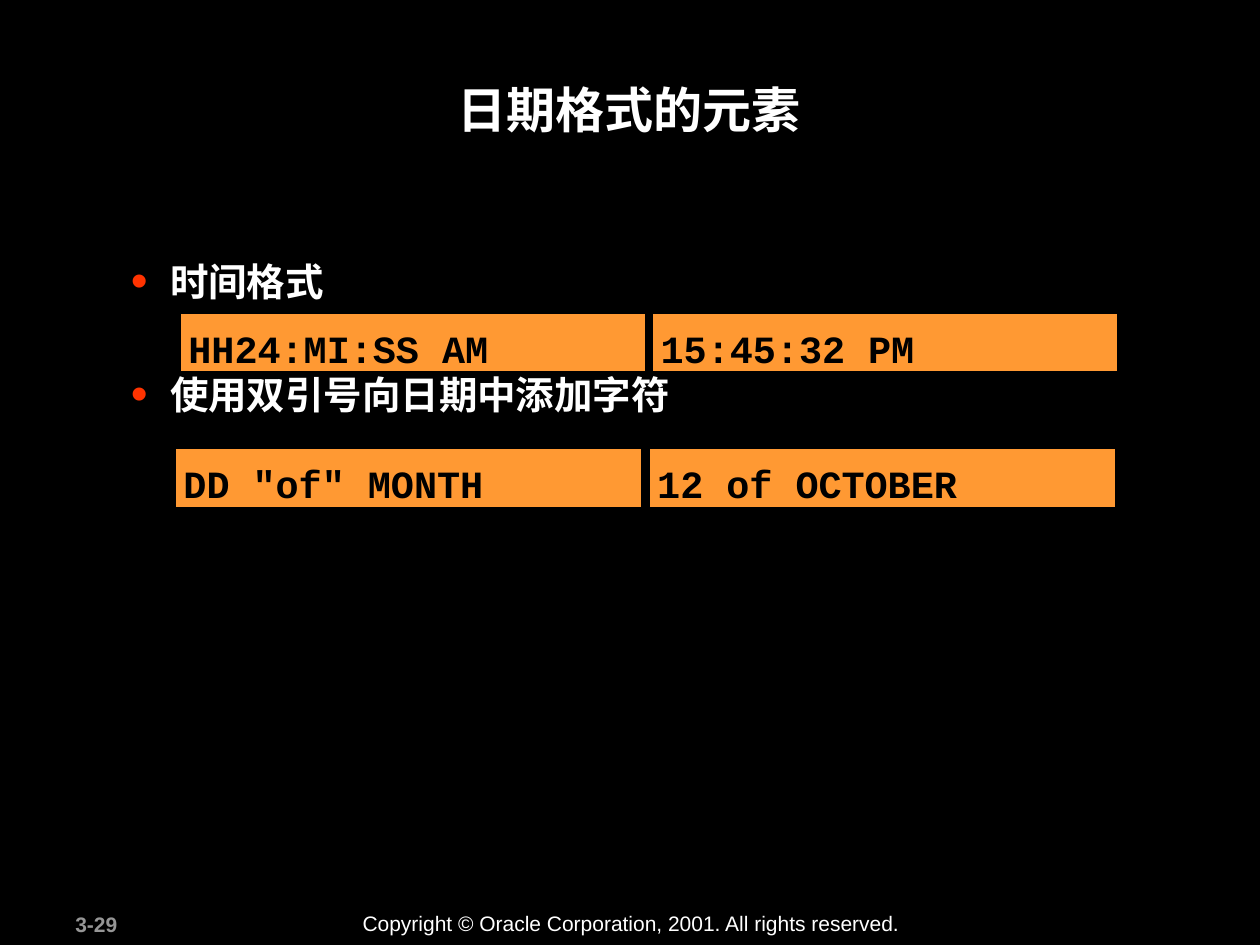
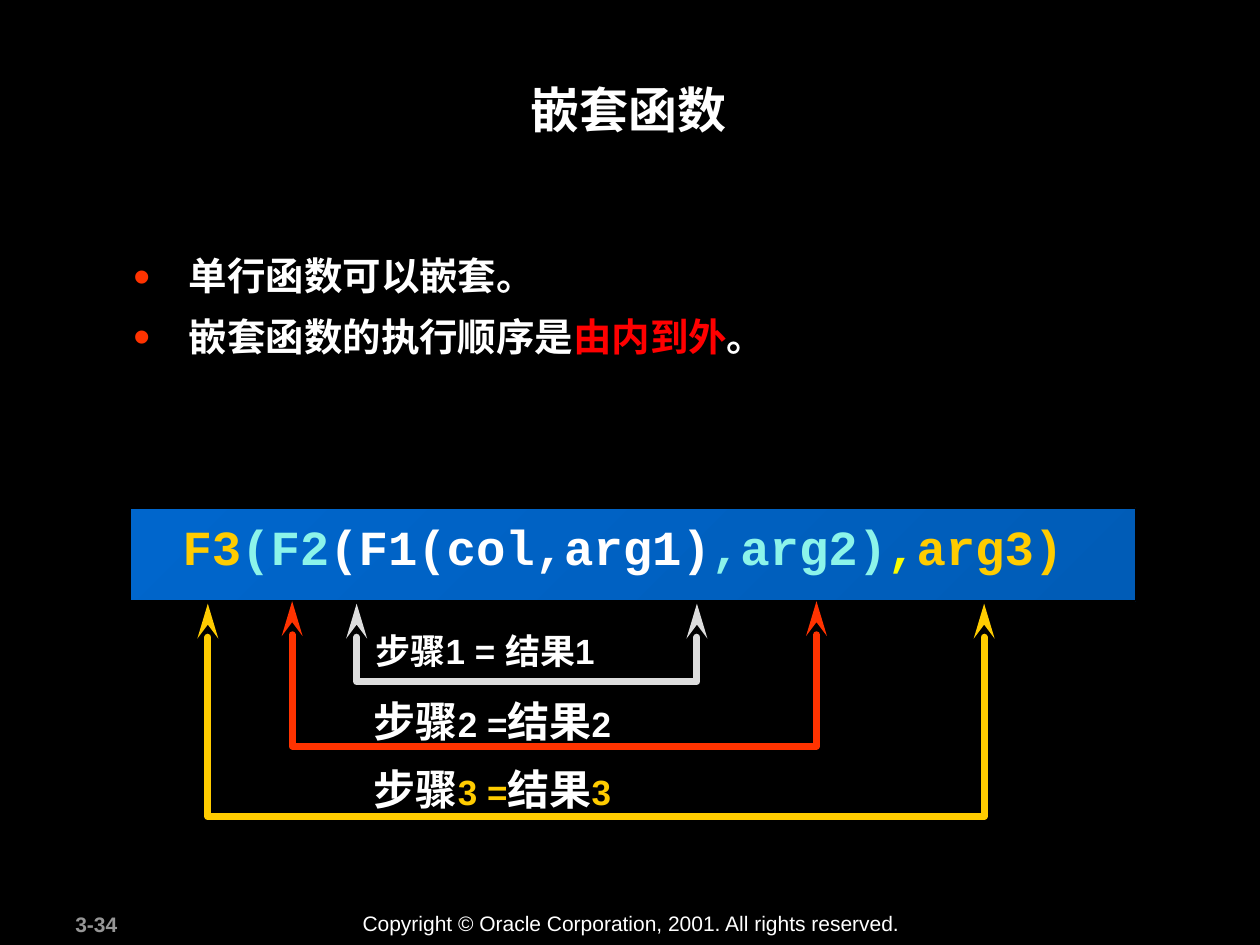
from lxml import etree
from pptx import Presentation
from pptx.dml.color import RGBColor
from pptx.enum import shapes, text
from pptx.oxml import ns
from pptx.util import Cm, Pt

BLACK = RGBColor(0, 0, 0)
WHITE = RGBColor(0xFF, 0xFF, 0xFF)
GREY = RGBColor(0x96, 0x96, 0x96)
SILVER = RGBColor(0xDD, 0xDD, 0xDD)
ORANGE = RGBColor(0xFF, 0x99, 0x33)
SCARLET = RGBColor(0xFF, 0x33, 0x00)
RED = RGBColor(0xFF, 0, 0)
GOLD = RGBColor(0xFF, 0xCC, 0)
YELLOW = RGBColor(0xFA, 0xFD, 0)
AQUA = RGBColor(0x8C, 0xF4, 0xEA)
BLUE = RGBColor(0, 0x66, 0xCC)
NAVY = RGBColor(0, 0x5C, 0xB7)

SANS, MONO, SERIF = "Arial", "Courier New", "Times New Roman"
RIGHTS = "Copyright © Oracle Corporation, 2001. All rights reserved."


def add_run(para, words, size, color=WHITE, face=SANS, bold=True):
    run = para.add_run()
    run.text = words
    font = run.font
    font.size, font.name, font.bold = Pt(size), face, bold
    font.color.rgb = color


def add_frame(slide, left, top, width, height, wrap=True):
    box = slide.shapes.add_textbox(Cm(left), Cm(top), Cm(width), Cm(height))
    box.text_frame.word_wrap = wrap
    return box.text_frame


def add_label(slide, area, *runs, wrap=True):
    """Add a one-line text box; each run is (words, size, ...)."""
    para = add_frame(slide, *area, wrap=wrap).paragraphs[0]
    for run in runs:
        add_run(para, *run)
    return para


def add_bullet(para, indent):
    props = para._p.get_or_add_pPr()
    props.set("marL", str(Cm(indent)))
    props.set("indent", str(-Cm(indent)))
    color = etree.SubElement(props, ns.qn("a:buClr"))
    etree.SubElement(color, ns.qn("a:srgbClr"), val=str(SCARLET))
    etree.SubElement(props, ns.qn("a:buSzPct"), val="125000")
    etree.SubElement(props, ns.qn("a:buFont"), typeface=SANS)
    etree.SubElement(props, ns.qn("a:buChar"), char="•")


def add_list(slide, area, items, indent, pitch, gap):
    """Add bulleted items; each item is a list of (words, color)."""
    frame = add_frame(slide, *area)
    for i, item in enumerate(items):
        para = frame.add_paragraph() if i else frame.paragraphs[0]
        add_bullet(para, indent)
        para.line_spacing = pitch
        if i:
            para.space_before = Pt(gap)
        for words, color in item:
            add_run(para, words, 22, color)


def add_rect(slide, left, top, width, height, line):
    rect = slide.shapes.add_shape(
        shapes.MSO_SHAPE.RECTANGLE, Cm(left), Cm(top), Cm(width), Cm(height))
    rect.shadow.inherit = False
    rect.line.color.rgb = BLACK
    rect.line.width = Pt(line)
    return rect


def add_pair(slide, left, top, width, height, samples):
    """Add a format and its result as two orange cells side by side."""
    lefts = [left, left + width + 0.1]
    for x in lefts:
        fill = add_rect(slide, x, top, width, height, 2).fill
        fill.solid()
        fill.fore_color.rgb = ORANGE
    for x, sample in zip(lefts, samples):
        add_label(slide, (x - 0.06, top + 0.13, width, 1.19),
                  (sample, 22, BLACK, MONO))


def add_hook(slide, left, right, top, bottom, color):
    """Add a U-shaped line with an arrowhead at both upper ends."""
    pen = slide.shapes.build_freeform(Cm(left), Cm(top))
    pen.add_line_segments([(Cm(left), Cm(bottom)), (Cm(right), Cm(bottom)),
                           (Cm(right), Cm(top))], close=False)
    hook = pen.convert_to_shape()
    hook.shadow.inherit = False
    hook.fill.background()
    hook.line.color.rgb = color
    hook.line.width = Pt(4)
    line = hook.line._get_or_add_ln()
    line.set("cap", "rnd")
    etree.SubElement(line, ns.qn("a:round"))
    for end in ("a:headEnd", "a:tailEnd"):
        etree.SubElement(line, ns.qn(end), type="stealth", w="med", len="lg")


def add_slide(deck, title, number):
    slide = deck.slides.add_slide(deck.slide_layouts[6])
    fill = slide.background.fill
    fill.solid()
    fill.fore_color.rgb = BLACK
    add_label(slide, (1.27, 18.26, 2.67, 0.76), (number, 12, GREY))
    add_label(slide, (7.06, 18.24, 11.38, 0.76),
              (RIGHTS, 12, WHITE, SANS, False))
    head = add_label(slide, (2.39, 1.47, 20.57, 2.44), (title, 28))
    head.alignment = text.PP_ALIGN.CENTER
    return slide


def add_dates(deck):
    slide = add_slide(deck, "日期格式的元素", "3-29")
    add_list(slide, (2.39, 5.03, 20.52, 5.49),
             [[("时间格式", WHITE)], [("使用双引号向日期中添加字符", WHITE)]],
             indent=0.79, pitch=1.05, gap=37)
    add_pair(slide, 3.61, 6.3, 9.42, 1.22, ["HH24:MI:SS AM", "15:45:32 PM"])
    add_pair(slide, 3.51, 9.02, 9.45, 1.24, ['DD "of" MONTH', "12 of OCTOBER"])


def add_nest(deck):
    slide = add_slide(deck, "嵌套函数", "3-34")
    add_hook(slide, 4.19, 19.84, 12.17, 16.46, GOLD)
    add_list(slide, (2.44, 5.03, 20.52, 2.36),
             [[("单行函数可以嵌套。", WHITE)],
              [("嵌套函数的执行顺序是", WHITE), ("由内到外", RED), ("。", WHITE)]],
             indent=1.12, pitch=0.95, gap=9.6)

    fill = add_rect(slide, 2.62, 10.24, 20.27, 1.88, 1).fill
    fill.gradient()
    fill.gradient_angle = 315
    for stop, color in zip(fill.gradient_stops, (BLUE, NAVY)):
        stop.color.rgb = color
    parts = [("F3", GOLD), ("(F2", AQUA), ("(F1(col,arg1)", WHITE),
             (",arg2)", AQUA), (",", YELLOW), ("arg3)", GOLD)]
    code = add_label(slide, (3.43, 10.69, 18.26, 1.04),
                     *[(words, 28, color, MONO) for words, color in parts],
                     wrap=False)
    code.line_spacing = Pt(22)

    add_label(slide, (7.32, 12.57, 5.44, 1.09), ("步骤1 = 结果1", 20),
              wrap=False)
    for step, top, color in ((2, 13.89, WHITE), (3, 15.27, GOLD)):
        add_label(slide, (7.29, top, 5.87, 1.27),
                  ("步骤", 24, WHITE, SERIF), (f"{step} =", 20, color),
                  ("结果", 24, WHITE, SERIF), (f"{step}", 20, color),
                  wrap=False)
    add_hook(slide, 5.89, 16.46, 12.12, 15.04, SCARLET)
    add_hook(slide, 7.19, 14.05, 12.17, 13.74, SILVER)


def main():
    deck = Presentation()
    deck.slide_width, deck.slide_height = Cm(25.4), Cm(19.05)
    add_dates(deck)
    add_nest(deck)
    deck.save("out.pptx")


if __name__ == "__main__":
    main()
